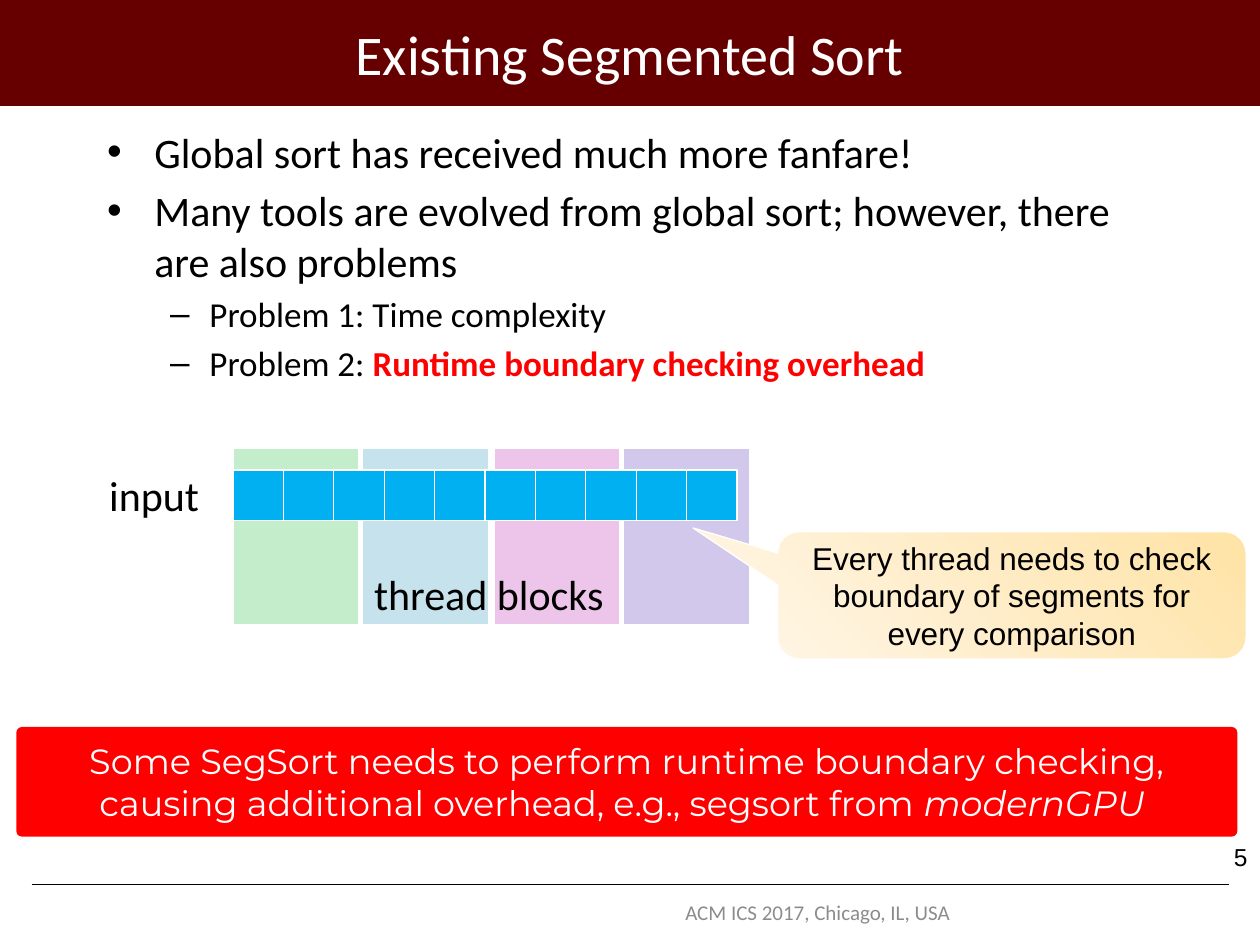
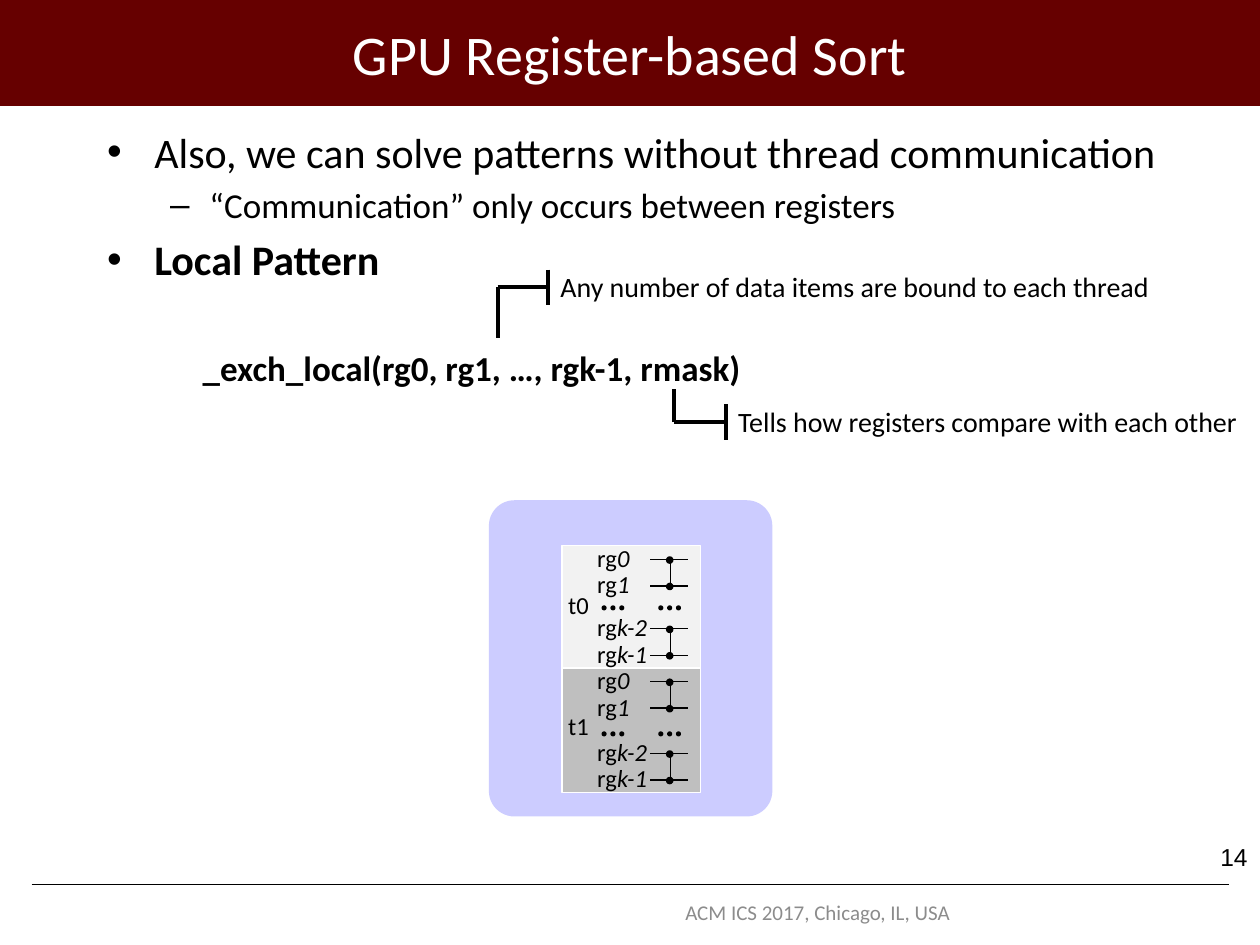
from dataclasses import dataclass

from lxml import etree
from pptx import Presentation
from pptx.dml.color import RGBColor
from pptx.enum.shapes import MSO_CONNECTOR, MSO_SHAPE
from pptx.enum.text import MSO_ANCHOR, MSO_AUTO_SIZE, PP_ALIGN
from pptx.oxml.ns import qn
from pptx.util import Pt

PX = 9144
RECT, ROUND, OVAL = MSO_SHAPE.RECTANGLE, MSO_SHAPE.ROUNDED_RECTANGLE, MSO_SHAPE.OVAL
CALLOUT = MSO_SHAPE.ROUNDED_RECTANGULAR_CALLOUT
STRAIGHT = MSO_CONNECTOR.STRAIGHT
LEFT, CENTER, RIGHT = PP_ALIGN.LEFT, PP_ALIGN.CENTER, PP_ALIGN.RIGHT
TOP, MIDDLE = MSO_ANCHOR.TOP, MSO_ANCHOR.MIDDLE
NO_FIT = MSO_AUTO_SIZE.NONE


@dataclass(frozen=True)
class Theme:
    font: str = "Calibri"
    note_font: str = "Arial"
    banner_font: str = "Montserrat"
    band: str = "660000"
    ink: str = "000000"
    paper: str = "FFFFFF"
    muted: str = "8C8C8C"
    alert: str = "FF0000"
    cell: str = "00B0F0"
    blocks: tuple = ("C4EECB", "C6E2EC", "EDC5EA", "D2C8EC")
    note: tuple = ("FFE3A6", "FFF5E4")
    panel: str = "CCCCFF"
    threads: tuple = ("F2F2F2", "BFBFBF")
    title: int = 32
    body: tuple = (24, 20)
    note_size: int = 18
    remark: int = 16
    small: int = 14
    footer: int = 12


T = Theme()


def rgb(code):
    return RGBColor.from_string(code)


def write(tf, text, size=T.body[0], color=T.ink, font=T.font, bold=None,
          align=None, level=0):
    """Add one paragraph; text is a string or a list of (string, overrides)."""
    p = tf.add_paragraph() if tf.text else tf.paragraphs[0]
    p.level = level
    if align is not None:
        p.alignment = align
    for words, extra in [(text, {})] if isinstance(text, str) else text:
        r = p.add_run()
        r.text = words
        r.font.name, r.font.size = font, Pt(size)
        r.font.bold = extra.get("bold", bold)
        r.font.italic = extra.get("italic")
        r.font.color.rgb = rgb(extra.get("color", color))


class Deck:
    """Hold the presentation, the current slide and the drawing methods."""

    def __init__(self):
        self.prs = Presentation()
        self.prs.slide_width, self.prs.slide_height = 1000 * PX, 750 * PX
        self.s = None

    def new_slide(self, title, number, bullets, body_width=850):
        self.s = self.prs.slides.add_slide(self.prs.slide_layouts[1])
        band = self.shape(RECT, 0, 0, 1000, 84, T.band)
        rule = self.line(25, 702, 975, 702, 0.25)
        for sp in (band, rule):
            self.s.shapes._spTree.insert(2, sp._element)
        tf = self.place(self.s.shapes.title, 75, 1, 850, 83)
        write(tf, title, T.title, T.paper, align=CENTER)
        tf = self.place(self.s.placeholders[1], 75, 95, body_width, 595)
        for level, text in bullets:
            write(tf, text, T.body[level], level=level)
        self.text(950, 663, 50, 50, str(number), size=T.small,
                  font=T.note_font, align=RIGHT)
        self.text(480, 709, 338, 29, "ACM ICS 2017, Chicago, IL, USA",
                  anchor=MIDDLE, size=T.footer, color=T.muted, align=CENTER)

    def place(self, sp, x, y, w, h):
        sp.left, sp.top, sp.width, sp.height = (v * PX for v in (x, y, w, h))
        sp.text_frame.auto_size = NO_FIT
        return sp.text_frame

    def text(self, x, y, w, h, text, anchor=TOP, tight=False, **fmt):
        sp = self.s.shapes.add_textbox(*(v * PX for v in (x, y, w, h)))
        tf = sp.text_frame
        tf.word_wrap, tf.vertical_anchor = True, anchor
        if tight:
            tf.margin_left = tf.margin_top = tf.margin_right = tf.margin_bottom = 0
        write(tf, text, **fmt)
        return sp

    def shape(self, kind, x, y, w, h, fill, line=None, weight=0.75, adj=(),
              text=None, **fmt):
        sp = self.s.shapes.add_shape(kind, *(v * PX for v in (x, y, w, h)))
        sp.shadow.inherit = False
        for i, value in enumerate(adj):
            sp.adjustments[i] = value
        if isinstance(fill, str):
            sp.fill.solid()
            sp.fill.fore_color.rgb = rgb(fill)
        else:
            sp.fill.gradient()
            sp.fill.gradient_angle = 225
            for stop, code in zip(sp.fill.gradient_stops, fill):
                stop.color.rgb = rgb(code)
        if line:
            sp.line.color.rgb, sp.line.width = rgb(line), Pt(weight)
        else:
            sp.line.fill.background()
        if text:
            sp.text_frame.word_wrap = True
            sp.text_frame.vertical_anchor = MIDDLE
            write(sp.text_frame, text, align=CENTER, **fmt)
        return sp

    def line(self, x1, y1, x2, y2, weight=0.75):
        c = self.s.shapes.add_connector(STRAIGHT, *(v * PX for v in (x1, y1, x2, y2)))
        c.line.color.rgb, c.line.width = rgb(T.ink), Pt(weight)
        etree.SubElement(c._element.spPr, qn("a:effectLst"))
        return c

    def dot(self, x, y, size):
        self.shape(OVAL, x, y, size, size, T.ink, T.ink)

    def remark(self, x, y, stem_x, stem_y, text, width):
        """Label an argument with a stem, an arm and an end bar."""
        self.line(stem_x, y, stem_x, stem_y, 2.25)
        label = self.text(x, y - 19, width, 38, text, size=T.remark)
        self.line(stem_x, y, x, y, 2.25).end_connect(label, 1)
        self.line(x, y - 14, x, y + 14, 2.25)

    def thread(self, name, top, height, fill, rows, gap):
        """Draw one thread with its registers and compared pairs."""
        self.shape(RECT, 446, top, 110, height, fill, T.paper, 1)
        for y, index in zip(rows, ("0", "1", "k-2", "k-1")):
            self.line(516, y, 546, y)
            self.dot(529, y - 2, 5)
            self.text(474, y - 13, 47, 24, [("rg", {}), (index, {"italic": True})],
                      tight=True, size=T.small)
        for upper, lower in (rows[:2], rows[2:]):
            self.line(532, upper + 3, 532, lower - 2)
        for x in (478, 523):
            for i in range(3):
                self.dot(x + 7 * i, gap, 3)
        self.text(451, top + 35, 28, 24, name, tight=True, size=T.small)


def existing_sort(deck):
    deck.new_slide("Existing Segmented Sort", 5, [
        (0, "Global sort has received much more fanfare!"),
        (0, "Many tools are evolved from global sort; however, there are also problems"),
        (1, "Problem 1: Time complexity"),
        (1, [("Problem 2: ", {}),
             ("Runtime boundary checking overhead", {"color": T.alert, "bold": True})]),
    ])
    for i, color in enumerate(T.blocks):
        deck.shape(RECT, 185 + round(i * 310 / 3), 356, 100, 140, color, T.paper)
    deck.text(267, 446, 242, 50, "thread blocks", align=CENTER)
    for i in range(10):
        deck.shape(RECT, 185 + 40 * i, 373, 40, 40, T.cell, T.paper)
    deck.text(75, 373, 83, 40, "input", tight=True, align=RIGHT)
    deck.shape(CALLOUT, 617, 422, 372, 101, T.note, T.paper, adj=(-0.68, -0.53, 0.17),
               text="Every thread needs to check boundary of segments for every comparison",
               size=T.note_size, font=T.note_font)
    deck.shape(ROUND, 13, 577, 969, 87, T.alert, adj=(0.05,),
               text=[("Some SegSort needs to perform runtime boundary checking, "
                      "causing additional overhead, e.g., segsort from ", {}),
                     ("modernGPU ", {"italic": True})],
               size=T.body[1], font=T.banner_font, color=T.paper)


def register_sort(deck):
    deck.new_slide("GPU Register-based Sort", 14, [
        (0, "Also, we can solve patterns without thread communication"),
        (1, "“Communication” only occurs between registers"),
        (0, [("Local Pattern", {"bold": True})]),
    ], body_width=875)
    deck.text(151, 270, 452, 44, "_exch_local(rg0, rg1, …, rgk-1, rmask)",
              size=T.body[1], bold=True)
    deck.remark(435, 228, 395, 268,
                "Any number of data items are bound to each thread", 493)
    deck.remark(576, 335, 535, 309,
                "Tells how registers compare with each other", 421)
    deck.shape(ROUND, 388, 397, 225, 251, T.panel, adj=(0.09,))
    deck.thread("t1", 529, 100, T.threads[1], (541, 562, 598, 619), 581)
    deck.thread("t0", 433, 97, T.threads[0], (444, 465, 499, 520), 481)


def main():
    deck = Deck()
    existing_sort(deck)
    register_sort(deck)
    deck.prs.save("out.pptx")


if __name__ == "__main__":
    main()
